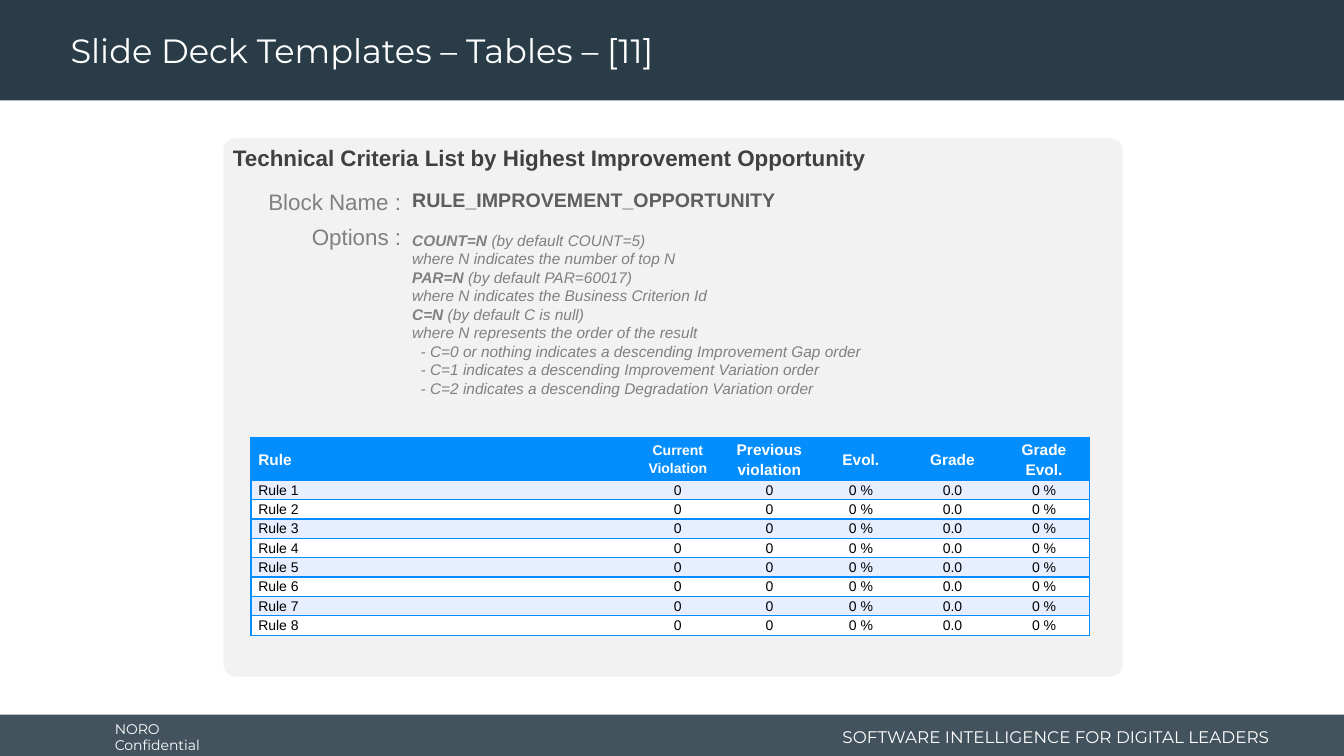
"""Build the slide on the highest improvement opportunity table."""
from lxml import etree
from pptx import Presentation
from pptx.dml.color import RGBColor
from pptx.enum import shapes, text
from pptx.oxml.ns import qn
from pptx.util import Pt

LEFT, MID, RIGHT = text.PP_ALIGN.LEFT, text.PP_ALIGN.CENTER, text.PP_ALIGN.RIGHT
CENTER = text.MSO_ANCHOR.MIDDLE
BLUE, WHITE, GREY = "048EFD", "FFFFFF", "808080"


def style(para, size, color, face="Arial", bold=False, align=LEFT):
    """Format a whole paragraph."""
    para.alignment = align
    font = para.font
    font.name, font.size, font.bold = face, Pt(size), bold
    font.color.rgb = RGBColor.from_string(color)


def note(x, y, w, h, words, wrap=True, grow=True, **look):
    """Add a text box with one formatted paragraph."""
    frame = slide.shapes.add_textbox(Pt(x), Pt(y), Pt(w), Pt(h)).text_frame
    frame.word_wrap = wrap
    if grow:
        frame.auto_size = text.MSO_AUTO_SIZE.SHAPE_TO_FIT_TEXT
    else:
        frame.vertical_anchor = CENTER
    frame.text = words
    style(frame.paragraphs[0], **look)
    return frame


deck = Presentation()
deck.slide_width, deck.slide_height = Pt(960), Pt(540)
slide = deck.slides.add_slide(deck.slide_layouts[5])

panels = [
    ("RECTANGLE", 0, 510.5, 960, 31.7, "293C47"),
    ("RECTANGLE", 0, 0, 960, 71.8, "293C47"),
    ("ROUNDED_RECTANGLE", 159.6, 98.8, 642.4, 384.5, "F2F2F2"),
]
drawn = []
for kind, x, y, w, h, color in panels:
    panel = slide.shapes.add_shape(shapes.MSO_SHAPE[kind], Pt(x), Pt(y), Pt(w), Pt(h))
    panel.shadow.inherit = False
    panel.fill.solid()
    panel.fill.fore_color.rgb = RGBColor.from_string(color)
    panel.line.fill.background()
    drawn.append(panel)
foot, head, card = drawn
card.adjustments[0] = 0.022
tint = foot._element.spPr.find(".//" + qn("a:srgbClr"))
etree.SubElement(tint, qn("a:alpha"), val="88000")

title = slide.shapes.title
title.left, title.top, title.width, title.height = Pt(43.2), Pt(2.9), Pt(690), Pt(69)
title.text_frame.text = "Slide Deck Templates – Tables – [11]"
title.text_frame.vertical_anchor = CENTER
para = title.text_frame.paragraphs[0]
para.line_spacing = 0.9
style(para, 24, WHITE, "Montserrat")
head._element.addnext(title._element)

note(74.9, 512, 106.6, 28.8, "NORO Confidential", wrap=False, grow=False,
     size=10, color=WHITE, face="Montserrat")
note(584, 514.8, 329.8, 23, "SOFTWARE INTELLIGENCE FOR DIGITAL LEADERS", grow=False,
     size=12, color=WHITE, face="Montserrat", align=RIGHT)
name = note(152, 99.4, 641.5, 26.6,
            "Technical Criteria List by Highest Improvement Opportunity",
            size=16, color="404040", bold=True)
name.margin_left = name.margin_right = Pt(14.4)
note(287.3, 131, 522, 24.5, "RULE_IMPROVEMENT_OPPORTUNITY", size=14, color="5E5E5E", bold=True)
note(173.5, 131, 120.2, 26.6, "Block Name :", wrap=False, size=16, color=GREY, align=RIGHT)
note(206.6, 156.2, 87.1, 26.6, "Options :", wrap=False, size=16, color=GREY, align=RIGHT)

options = [
    ("COUNT=N", " (by default COUNT=5)"),
    ("", "where N indicates the number of top N"),
    ("PAR=N", " (by default PAR=60017)"),
    ("", "where N indicates the Business Criterion Id"),
    ("C=N", " (by default C is null)"),
    ("", "where N represents the order of the result"),
    ("", "- C=0 or nothing indicates a descending Improvement Gap order"),
    ("", "- C=1 indicates a descending Improvement Variation order"),
    ("", "- C=2 indicates a descending Degradation Variation order"),
]
frame = note(287.3, 161.3, 522, 127.4, "", size=11, color=GREY)
for i, (key, rest) in enumerate(options):
    para = frame.add_paragraph() if i else frame.paragraphs[0]
    if rest.startswith("-"):
        para._p.get_or_add_pPr().set("marL", str(Pt(6.1)))
    style(para, 11, GREY)
    para.font.italic = True
    if key:
        run = para.add_run()
        run.text, run.font.bold = key, True
    para.add_run().text = rest

rows = [["Rule", "Current Violation", "Previous violation", "Evol.", "Grade", "Grade Evol."]]
rows += [[f"Rule {n}", "0", "0", "0 %", "0.0", "0 %"] for n in range(1, 9)]
grid = slide.shapes.add_table(9, 6, Pt(179.3), Pt(312.3), Pt(599.2), Pt(141.3)).table
grid.first_row = grid.horz_banding = False
for c, col in enumerate(grid.columns):
    col.width = Pt(65.4 if c else 272.2)
for r, row in enumerate(rows):
    grid.rows[r].height = Pt(13.82 if r else 30.7)
    for c, words in enumerate(row):
        cell = grid.cell(r, c)
        cell.margin_left = cell.margin_right = Pt(5.2)
        cell.margin_top = cell.margin_bottom = 0
        edges = {"lnL": c == 0, "lnR": c == 5, "lnT": True, "lnB": True}
        for tag, shown in edges.items():
            edge = etree.SubElement(cell._tc.get_or_add_tcPr(), qn("a:" + tag), w=str(Pt(1)))
            ink = etree.SubElement(edge, qn("a:solidFill" if shown else "a:noFill"))
            if shown:
                etree.SubElement(ink, qn("a:srgbClr"), val=BLUE)
        cell.fill.solid()
        shade = BLUE if r == 0 else "E7EEFF" if r % 2 else WHITE
        cell.fill.fore_color.rgb = RGBColor.from_string(shade)
        if r == 0:
            cell.vertical_anchor = CENTER
        cell.text = words
        para = cell.text_frame.paragraphs[0]
        para.line_spacing = 1.15
        style(para, 10 if r or c == 1 else 11, "000000" if r else WHITE,
              bold=r == 0, align=MID if c else LEFT)

deck.save("out.pptx")
